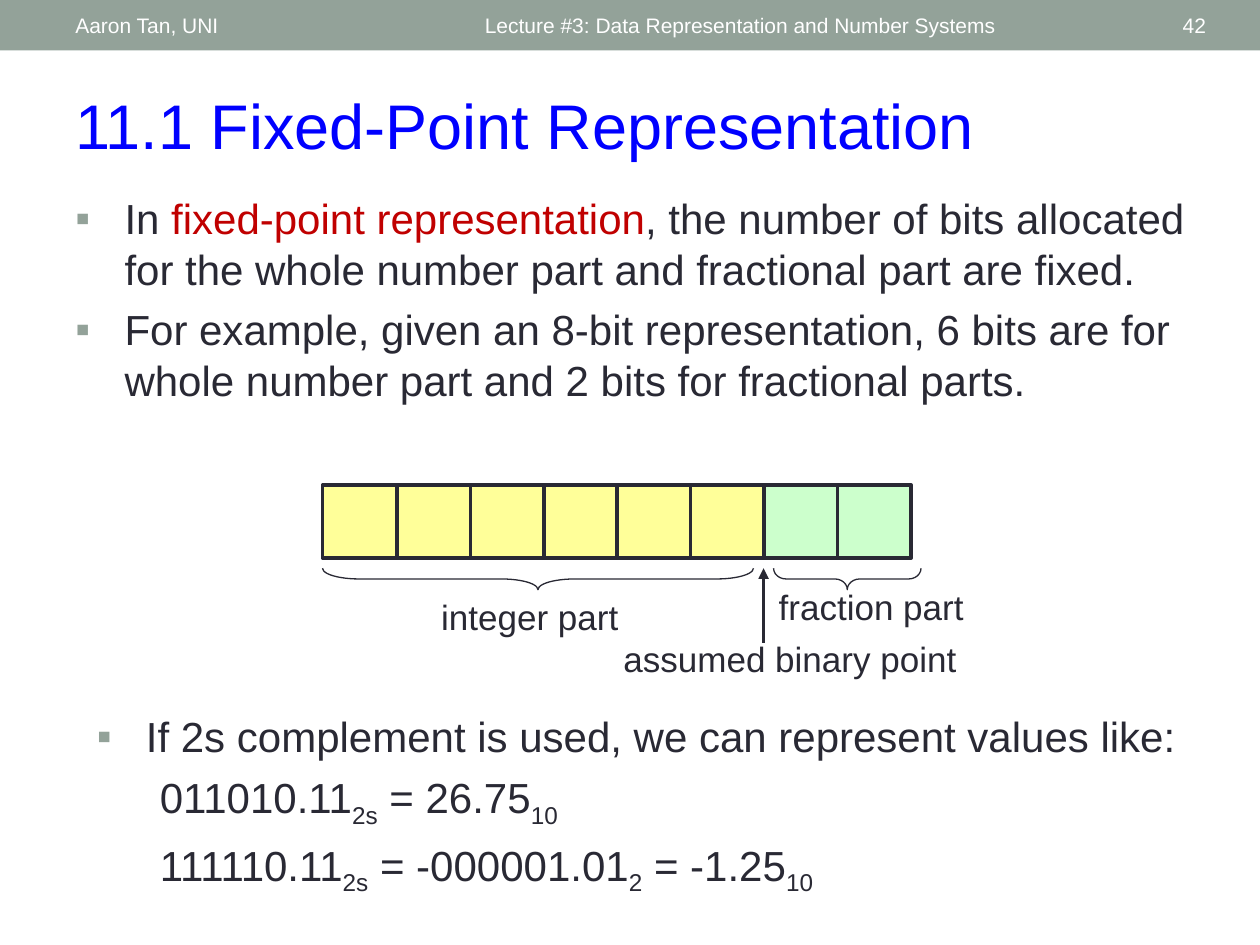
from lxml.etree import SubElement
from pptx import Presentation
from pptx.dml.color import RGBColor
from pptx.enum.shapes import MSO_CONNECTOR as CONNECTOR, MSO_SHAPE as SHAPE
from pptx.enum.text import MSO_ANCHOR as ANCHOR, MSO_AUTO_SIZE as AUTO_SIZE, PP_ALIGN as ALIGN
from pptx.oxml.ns import qn
from pptx.util import Inches, Pt

COLORS = {"band": "93A299", "white": "FFFFFF", "title": "0000FF", "ink": "292934",
          "accent": "C00000", "integer": "FFFF99", "fraction": "CCFFCC"}


def rgb(name):
    return RGBColor.from_string(COLORS[name])


def add_text(shapes, box, anchor=ANCHOR.TOP, grow=False):
    frame = shapes.add_textbox(*map(Inches, box)).text_frame
    frame.word_wrap = True
    frame.vertical_anchor = anchor
    frame.auto_size = AUTO_SIZE.SHAPE_TO_FIT_TEXT if grow else AUTO_SIZE.NONE
    return frame


def add_run(paragraph, text, size, color="ink", subscript=False):
    run = paragraph.add_run()
    run.text = text
    run.font.name = "Arial"
    run.font.size = Pt(size)
    run.font.color.rgb = rgb(color)
    if subscript:
        run.font._element.set("baseline", "-25000")


def set_indent(paragraph, hanging):
    properties = paragraph._p.get_or_add_pPr()
    properties.set("marL", str(Inches(hanging)))
    properties.set("indent", str(-Inches(hanging)))
    return properties


def add_bullet(paragraph):
    properties = set_indent(paragraph, 0.39)
    bullet_color = SubElement(properties, qn("a:buClr"))
    SubElement(bullet_color, qn("a:srgbClr"), val=COLORS["band"])
    SubElement(properties, qn("a:buFont"), typeface="Arial")
    SubElement(properties, qn("a:buChar"), char="▪")


def add_outlined(shapes, kind, box, width, fill=None):
    shape = shapes.add_shape(kind, *map(Inches, box))
    shape.shadow.inherit = False
    shape.line.color.rgb = rgb("ink")
    shape.line.width = Pt(width)
    if fill:
        shape.fill.solid()
        shape.fill.fore_color.rgb = rgb(fill)
    else:
        shape.fill.background()
    return shape


def header(slide, left, top, width, height):
    band = slide.shapes.add_shape(SHAPE.RECTANGLE, *map(Inches, (left, top, width, height)))
    band.shadow.inherit = False
    band.fill.solid()
    band.fill.fore_color.rgb = rgb("band")
    band.line.fill.background()
    for offset, label_width, label, align in (
            (3.75, 4.5, "Lecture #3: Data Representation and Number Systems", ALIGN.LEFT),
            (0.5, 3.17, "Aaron Tan, UNI", ALIGN.LEFT),
            (8.72, 0.95, "42", ALIGN.RIGHT)):
        frame = add_text(slide.shapes, (left + offset, top + 0.02, label_width, height - 0.04),
                         ANCHOR.MIDDLE)
        frame.paragraphs[0].alignment = align
        add_run(frame.paragraphs[0], label, 12, "white")


def title(slide, *box):
    heading = add_text(slide.shapes, box, grow=True).paragraphs[0]
    set_indent(heading, 1.08)
    add_run(heading, "11.1 Fixed-Point Representation", 36, "title")


def body(slide, box, items):
    frame = add_text(slide.shapes, box)
    for index, (bulleted, runs) in enumerate(items):
        paragraph = frame.add_paragraph() if index else frame.paragraphs[0]
        paragraph.space_before = Pt(6)
        if bulleted:
            add_bullet(paragraph)
        for text, style in runs:
            add_run(paragraph, text, 24, **style)


def brace(shapes, left, top, span, depth, curl):
    center_x, center_y = left + span / 2, top + depth / 2
    shape = add_outlined(shapes, SHAPE.LEFT_BRACE,
                         (center_x - depth / 2, center_y - span / 2, depth, span), 0.75)
    shape.rotation = 270
    shape.adjustments[0] = curl
    shape.adjustments[1] = 0.5


def bit_layout(slide, left, top):
    shapes = slide.shapes.add_group_shape().shapes
    pitch, point_x = 0.583, left + 3.5
    arrow = shapes.add_connector(CONNECTOR.STRAIGHT, *map(
        Inches, (point_x, top + 1.25, point_x, top + 0.66)))
    arrow.line.color.rgb = rgb("ink")
    arrow.line.width = Pt(2)
    SubElement(arrow.line._get_or_add_ln(), qn("a:tailEnd"), type="triangle")
    SubElement(arrow._element.spPr, qn("a:effectLst"))
    for offset, drop, width, label in ((2, 1.16, 3.42, "assumed binary point"),
                                       (0.83, 0.83, 1.63, "integer part"),
                                       (3.5, 0.75, 1.71, "fraction part")):
        caption = add_text(shapes, (left + offset, top + drop, width, 0.43), grow=True).paragraphs[0]
        caption.alignment = ALIGN.CENTER
        add_run(caption, label, 20)
    for bit in reversed(range(8)):
        add_outlined(shapes, SHAPE.RECTANGLE, (left + bit * pitch, top, 0.59, 0.58), 2,
                     "integer" if bit < 6 else "fraction")
    brace(shapes, left + 3.58, top + 0.66, 1.17, 0.17, 0.58)
    brace(shapes, left, top + 0.66, 3.42, 0.17, 1.71)


PLAIN, ACCENT, SUB = {}, {"color": "accent"}, {"subscript": True}
DEFINITION = [
    (True, [("In ", PLAIN), ("fixed-point representation", ACCENT),
            (", the number of bits allocated for the whole number part "
             "and fractional part are fixed.", PLAIN)]),
    (True, [("For example, given an 8-bit representation, 6 bits are for "
             "whole number part and 2 bits for fractional parts.", PLAIN)]),
]
EXAMPLES = [
    (True, [("If 2s complement is used, we can represent values like:", PLAIN)]),
    (False, [("\t011010.11", PLAIN), ("2s", SUB), (" = 26.75", PLAIN), ("10", SUB)]),
    (False, [("\t111110.11", PLAIN), ("2s", SUB), (" = -000001.01", PLAIN), ("2", SUB),
             (" = -1.25", PLAIN), ("10", SUB)]),
]

deck = Presentation()
deck.slide_width, deck.slide_height = Inches(10), Inches(7.5)
page = deck.slides.add_slide(deck.slide_layouts[6])
header(page, 0, 0, 10, 0.4)
title(page, 0.5, 0.64, 9, 0.71)
body(page, (0.5, 1.48, 9, 2.34), DEFINITION)
bit_layout(page, 2.56, 3.85)
body(page, (0.67, 5.59, 9, 1.52), EXAMPLES)
deck.save("out.pptx")
